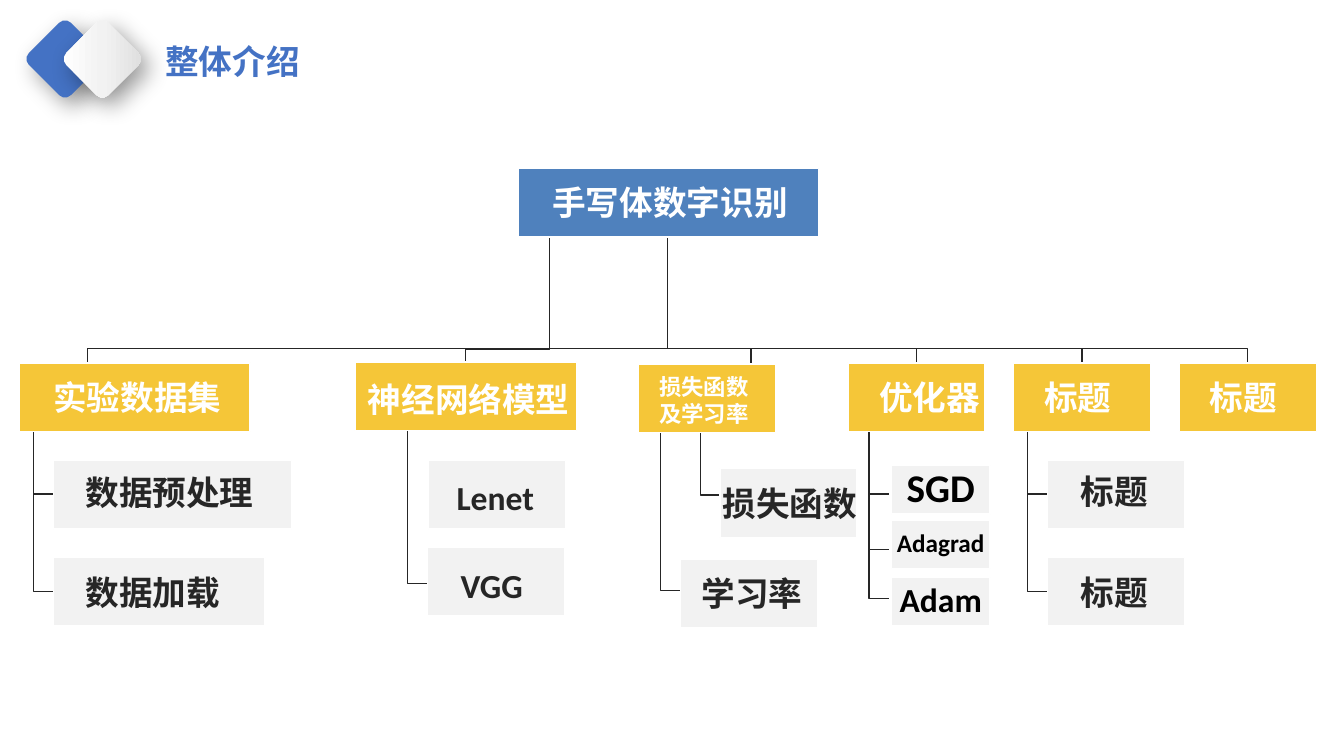
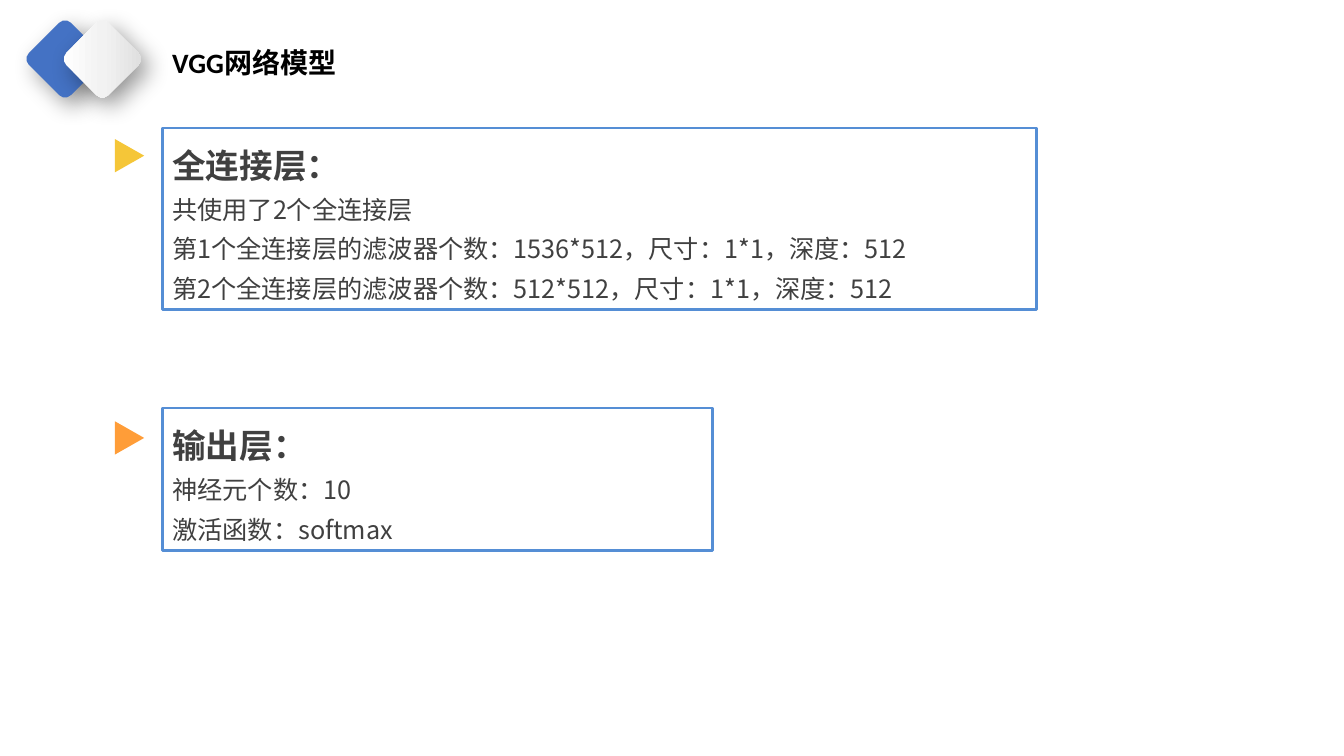
import copy

import pptx
import pptx.dml.color
import pptx.enum.shapes
import pptx.enum.text
import pptx.oxml
import pptx.oxml.ns
import pptx.util

RGB = pptx.dml.color.RGBColor
SHAPE = pptx.enum.shapes.MSO_SHAPE
ANCHOR = pptx.enum.text.MSO_ANCHOR
ALIGN = pptx.enum.text.PP_ALIGN
AUTO_SIZE = pptx.enum.text.MSO_AUTO_SIZE
Pt = pptx.util.Pt
qn = pptx.oxml.ns.qn

PX = 9144
BLUE = RGB(0x44, 0x72, 0xC4)
ROOT_BLUE = RGB(0x4F, 0x81, 0xBD)
FRAME_BLUE = RGB(0x55, 0x8E, 0xD5)
YELLOW = RGB(0xF5, 0xC6, 0x38)
ORANGE = RGB(0xFF, 0x9D, 0x38)
PALE = RGB(0xF2, 0xF2, 0xF2)
SILVER = RGB(0xDE, 0xDE, 0xDE)
WHITE = RGB(0xFF, 0xFF, 0xFF)
BLACK = RGB(0, 0, 0)
INK = RGB(0x26, 0x26, 0x26)
BODY_GREY = RGB(0x40, 0x40, 0x40)
LATIN_FONT = "Calibri"
CHINESE_FONT = "Noto Sans CJK SC"

BOX_WIDTH, BOX_HEIGHT = 136, 68
BRANCH_WIDTH = 20
LONG_BRANCH, SHORT_BRANCH = 159, 62
TRUNK = (662, 235)
COLUMN_CENTERS = [87] + [745 + 164 * column for column in range(4)]

# left, top, drop
BRANCHES = [
    (33, 428, LONG_BRANCH), (33, 428, SHORT_BRANCH),
    (404, 420, LONG_BRANCH),
    (655, 427, LONG_BRANCH), (695, 429, SHORT_BRANCH),
    (862, 428, SHORT_BRANCH), (862, 483, SHORT_BRANCH), (862, 435, LONG_BRANCH),
    (1019, 428, LONG_BRANCH), (1019, 428, SHORT_BRANCH),
]

# box left, top, width; label, its left, top, width, wrap, size
HEADINGS = [
    (19, 360, 229, "实验数据集", 43, 369, 249, True, 24),
    (352, 359, 220, "神经网络模型", 355, 371, 220, False, 24),
    (633, 361, BOX_WIDTH, "损失函数及学习率", 644, 365, 115, True, 16),
    (841, 360, BOX_WIDTH, "优化器", 862, 369, 120, False, 24),
    (1005, 360, BOX_WIDTH, "标题", 1026, 369, 88, False, 24),
    (1170, 360, BOX_WIDTH, "标题", 1190, 369, 88, False, 24),
]
TOPICS = [
    (53, 457, 236, "数据预处理", 75, 463, 187, False, 24),
    (53, 553, 210, "数据加载", 75, 562, 153, False, 24),
    (425, 457, BOX_WIDTH, "Lenet", 443, 468, 97, False, 24),
    (424, 543, BOX_WIDTH, "VGG", 447, 556, 82, False, 24),
    (714, 465, BOX_WIDTH, "损失函数", 707, 474, 155, False, 24),
    (675, 555, BOX_WIDTH, "学习率", 686, 563, 121, False, 24),
    (1039, 457, BOX_WIDTH, "标题", 1062, 462, 88, False, 24),
    (1039, 553, BOX_WIDTH, "标题", 1062, 562, 88, False, 24),
]
OPTIMIZERS = [(462, "SGD", 28), (516, "Adagrad", 18), (573, "Adam", 24)]

FULLY_CONNECTED = [
    "全连接层：",
    "共使用了2个全连接层",
    "第1个全连接层的滤波器个数：1536*512，尺寸：1*1，深度：512",
    "第2个全连接层的滤波器个数：512*512，尺寸：1*1，深度：512",
]
OUTPUT_LAYER = ["输出层：", "神经元个数：10", "激活函数：softmax"]


def emu(*lengths):
    """Turn px lengths into EMU."""
    return [length * PX for length in lengths]


def add_run(paragraph, text, size, color, bold=True, font=LATIN_FONT):
    """Add one styled run to a paragraph."""
    run = paragraph.add_run()
    run.text = text
    run.font.size = Pt(size)
    run.font.bold = bold
    run.font.color.rgb = color
    run.font.name = font
    east_asian = run.font._element.makeelement(qn("a:ea"), {"typeface": CHINESE_FONT})
    run.font._element.find(qn("a:latin")).addnext(east_asian)


def add_label(slide, area, text, size, color, wrap=True):
    """Add a one-paragraph text box and return its paragraph."""
    frame = slide.shapes.add_textbox(*emu(*area)).text_frame
    frame.word_wrap = wrap
    frame.auto_size = AUTO_SIZE.SHAPE_TO_FIT_TEXT
    add_run(frame.paragraphs[0], text, size, color)
    return frame.paragraphs[0]


def add_block(slide, area, fill=None, line=None, width=1, kind=SHAPE.RECTANGLE):
    """Add a preset shape with the given fill and outline."""
    block = slide.shapes.add_shape(kind, *emu(*area))
    block.shadow.inherit = False
    if fill is None:
        block.fill.background()
    else:
        block.fill.solid()
        block.fill.fore_color.rgb = fill
    if line is None:
        block.line.fill.background()
    else:
        block.line.color.rgb = line
        block.line.width = Pt(width)
    return block


def add_path(slide, start, *points):
    """Add an open line through the given points."""
    builder = slide.shapes.build_freeform(*start, scale=PX)
    builder.add_line_segments(points, close=False)
    path_line = builder.convert_to_shape()
    path_line.shadow.inherit = False
    path_line.fill.background()
    path_line.line.color.rgb = INK
    path_line.line.width = Pt(1)


def add_drop(slide, start, center, bus, bottom):
    """Link the root to a column through a horizontal bus."""
    add_path(slide, start, (start[0], bus), (center, bus), (center, bottom))


def add_branch(slide, left, top, drop):
    """Add an L-shaped link from a heading to a topic."""
    bottom = top + drop
    add_path(slide, (left, top), (left, bottom), (left + BRANCH_WIDTH, bottom))


def add_node(slide, node, fill, color):
    """Add a tree box and its label."""
    left, top, width, text, label_left, label_top, label_width, wrap, size = node
    add_block(slide, (left, top, width, BOX_HEIGHT), fill, WHITE)
    label_height = 64 if size < 24 else 50
    area = (label_left, label_top, label_width, label_height)
    add_label(slide, area, text, size, color, wrap)


def add_optimizer(slide, top, text, size):
    """Add a small box with its name centred inside."""
    frame = add_block(slide, (884, top, 98, 48), PALE, WHITE).text_frame
    frame.margin_left = frame.margin_right = 3 * PX
    frame.margin_top = frame.margin_bottom = 3 * PX
    frame.vertical_anchor = ANCHOR.MIDDLE
    paragraph = frame.paragraphs[0]
    paragraph.alignment = ALIGN.CENTER
    paragraph.line_spacing = 0.9
    add_run(paragraph, text, size, BLACK)


def add_shadow(shape):
    """Give a shape a soft shadow to the lower right."""
    shadow = pptx.oxml.parse_xml(
        f'<a:outerShdw {pptx.oxml.ns.nsdecls("a")} blurRad="{Pt(17)}" dist="{Pt(8)}" '
        'dir="2700000" algn="tl" rotWithShape="0"><a:srgbClr val="000000">'
        '<a:alpha val="40000"/></a:srgbClr></a:outerShdw>')
    shape.element.spPr.find(qn("a:effectLst")).append(shadow)


def fill_silver(shape):
    """Fill a shape with a white to silver gradient."""
    shape.fill.gradient()
    shape.fill.gradient_angle = 45
    stops = next(shape.element.spPr.iter(qn("a:gsLst")))
    stops.insert(1, copy.deepcopy(stops[0]))
    colors = [(0, WHITE), (0.51, PALE), (1, SILVER)]
    for stop, (position, color) in zip(shape.fill.gradient_stops, colors):
        stop.position = position
        stop.color.rgb = color


def add_header(slide, area, title, size, color):
    """Add the two diamonds and the title, and return its paragraph."""
    for left in (35, 72):
        diamond = add_block(slide, (left, 29, 59, 59), BLUE,
                            kind=SHAPE.ROUNDED_RECTANGLE)
        diamond.adjustments[0] = 0.14
        diamond.rotation = 45
        add_shadow(diamond)
    fill_silver(diamond)
    return add_label(slide, area, title, size, color)


def add_layer(slide, top, width, height, marker_top, marker_color, lines):
    """Add a framed layer description with a triangle marker."""
    marker = add_block(slide, (112, marker_top, 33, 29), marker_color,
                       kind=SHAPE.ISOSCELES_TRIANGLE)
    marker.rotation = 90
    frame = add_block(slide, (161, top, width, height), line=FRAME_BLUE,
                      width=1.75).text_frame
    frame.word_wrap = True
    frame.auto_size = AUTO_SIZE.SHAPE_TO_FIT_TEXT
    frame.vertical_anchor = ANCHOR.TOP
    for index, text in enumerate(lines):
        paragraph = frame.add_paragraph() if index else frame.paragraphs[0]
        paragraph.alignment = ALIGN.LEFT
        paragraph.line_spacing = 1.3
        add_run(paragraph, text, 18 if index else 24, BODY_GREY,
                bold=index == 0, font=CHINESE_FONT)


def build_overview(slide):
    """Build the tree of the whole project."""
    for center in COLUMN_CENTERS:
        add_drop(slide, TRUNK, center, 346, 360)
    add_drop(slide, (545, 236), 462, 347, 361)
    for branch in BRANCHES:
        add_branch(slide, *branch)
    root = (514, 167, 298, "手写体数字识别", 538, 176, 275, True, 24)
    add_node(slide, root, ROOT_BLUE, WHITE)
    for heading in HEADINGS:
        add_node(slide, heading, YELLOW, WHITE)
    for topic in TOPICS:
        add_node(slide, topic, PALE, INK)
    for optimizer in OPTIMIZERS:
        add_optimizer(slide, *optimizer)
    title = add_header(slide, (154, 40, 667, 46), "整体介绍", 24, BLUE)
    title.line_spacing = 0.9
    title.space_before = Pt(10)


def build_network(slide):
    """Build the description of the network layers."""
    add_header(slide, (161, 40, 289, 44), "VGG网络模型", 20, BLACK)
    add_layer(slide, 127, 867, 180, 140, YELLOW, FULLY_CONNECTED)
    add_layer(slide, 405, 546, 141, 420, ORANGE, OUTPUT_LAYER)


def main():
    """Build and save the presentation."""
    deck = pptx.Presentation()
    deck.slide_width, deck.slide_height = emu(1333, 750)
    for build in (build_overview, build_network):
        build(deck.slides.add_slide(deck.slide_layouts[6]))
    deck.save("out.pptx")


if __name__ == "__main__":
    main()
